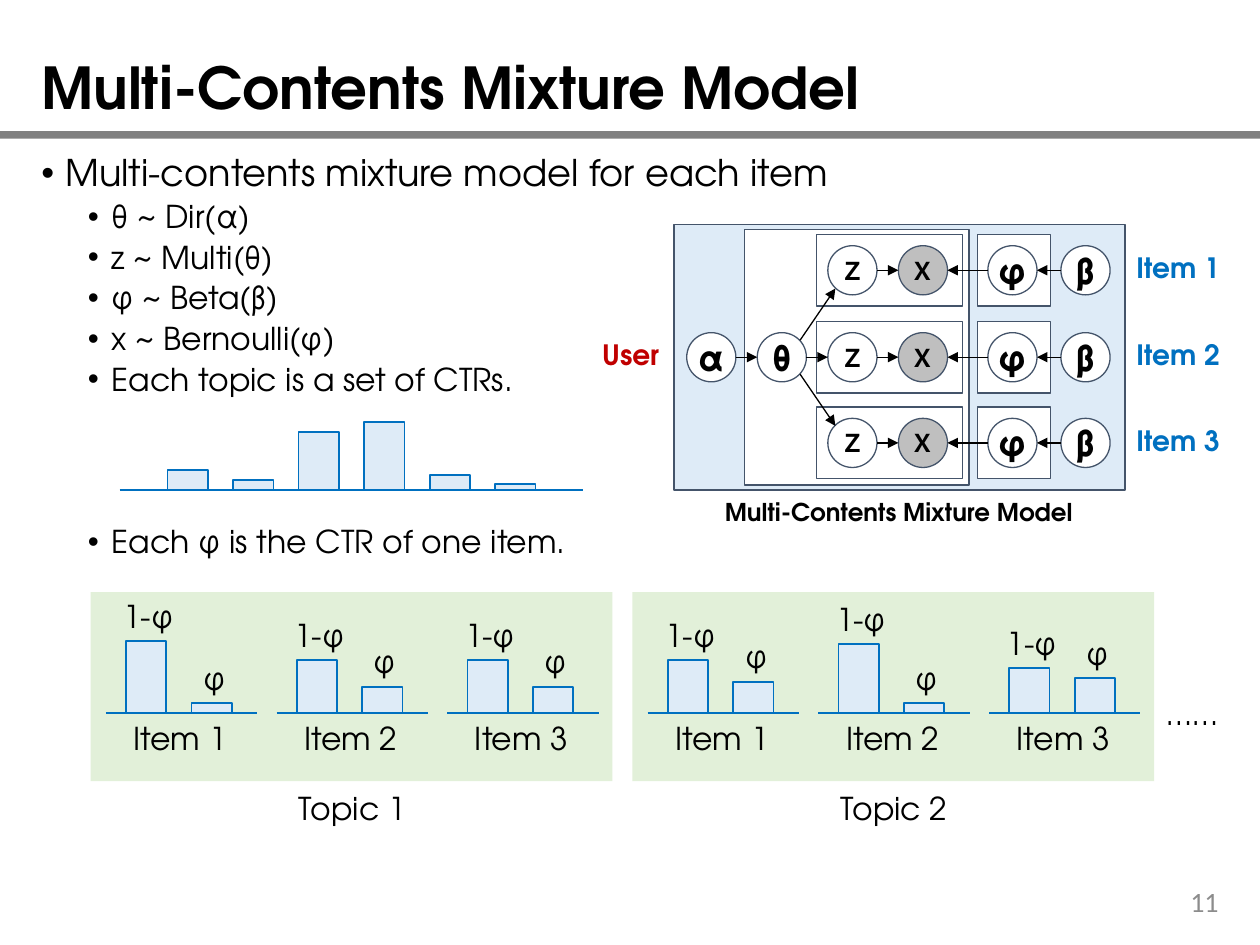
from pptx import Presentation
from pptx.dml.color import RGBColor
from pptx.enum.shapes import MSO_CONNECTOR as Line, MSO_SHAPE as Shape
from pptx.enum.text import MSO_ANCHOR as Anchor, PP_ALIGN as Align
from pptx.oxml.ns import qn
from pptx.util import Inches, Pt
from lxml.etree import SubElement

# Content
TITLE = "Multi-Contents Mixture Model"
HEADING = "Multi-contents mixture model for each item"
POINTS = ["θ ~ Dir(α)", "z ~ Multi(θ)", "φ ~ Beta(β)", "x ~ Bernoulli(φ)",
          "Each topic is a set of CTRs.", "Each φ is the CTR of one item."]
ITEMS = ["Item 1", "Item 2", "Item 3"]
CTR_HEIGHTS = [0.16, 0.08, 0.46, 0.54, 0.12, 0.05]
# Bar heights per item: (1-φ, φ)
TOPICS = {
    "Topic 1": [(0.57, 0.08), (0.42, 0.21), (0.42, 0.21)],
    "Topic 2": [(0.42, 0.25), (0.55, 0.08), (0.36, 0.28)],
}

# Style
FONT = "TeX Gyre Adventor"
COLORS = {"black": "000000", "rule": "808080", "panel": "E2F0D9", "pale": "DEEBF7",
          "white": "FFFFFF", "observed": "BFBFBF", "outline": "44546A",
          "blue": "0070C0", "red": "C00000", "number": "8C8C8C"}

# Geometry in inches
NODE = 0.39
ROW_TOPS = [1.95, 2.64, 3.32]
NODE_LEFT = {"α": 5.45, "θ": 6.01, "Ｚ": 6.57, "Ｘ": 7.13, "φ": 7.84, "β": 8.42}
BAR_WIDTH, BAR_STEP = 0.32, 0.52
CTR_BASE, ITEM_BASE = 3.89, 5.66
TOPIC_STEP, ITEM_STEP = 4.3, 1.355

deck = Presentation()
deck.slide_width, deck.slide_height = Inches(10), Inches(7.5)
slide = deck.slides.add_slide(deck.slide_layouts[5])


def color(name):
    return RGBColor.from_string(COLORS[name])


def write(paragraph, text, size, tint="black", bold=False, font=FONT):
    run = paragraph.add_run()
    run.text = text
    values = {"name": font, "size": Pt(size), "bold": bold}
    for key, value in values.items():
        setattr(run.font, key, value)
    run.font.color.rgb = color(tint)


def block(left, top, width, height, fill, line=None, weight=0.75, kind=Shape.RECTANGLE):
    shape = slide.shapes.add_shape(kind, *map(Inches, (left, top, width, height)))
    shape.shadow.inherit = False
    shape.fill.solid()
    shape.fill.fore_color.rgb = color(fill)
    if line:
        shape.line.color.rgb = color(line)
        shape.line.width = Pt(weight)
    else:
        shape.line.fill.background()
    return shape


def label(text, left, top, width, height=0.4, size=18, align=Align.CENTER,
          anchor=Anchor.TOP, spacing=None, **style):
    box = slide.shapes.add_textbox(*map(Inches, (left, top, width, height)))
    box.text_frame.word_wrap = False
    box.text_frame.vertical_anchor = anchor
    paragraph = box.text_frame.paragraphs[0]
    paragraph.alignment = align
    paragraph.line_spacing = spacing
    write(paragraph, text, size, **style)


def stroke(start, end, tint="black", weight=0.75, arrow=True):
    line = slide.shapes.add_connector(Line.STRAIGHT, *map(Inches, (*start, *end)))
    line.line.color.rgb = color(tint)
    line.line.width = Pt(weight)
    if arrow:
        SubElement(line.line._get_or_add_ln(), qn("a:tailEnd"), type="triangle")
    SubElement(line._element.spPr, qn("a:effectLst"))


def bar(left, base, height):
    block(left, base - height, BAR_WIDTH, height, "pale", "blue", 1)


def node(symbol, top):
    fill = "observed" if symbol == "Ｘ" else "white"
    circle = block(NODE_LEFT[symbol], top, NODE, NODE, fill, "outline", kind=Shape.OVAL)
    frame = circle.text_frame
    frame.word_wrap = False
    frame.vertical_anchor = Anchor.MIDDLE
    frame.paragraphs[0].alignment = Align.CENTER
    write(frame.paragraphs[0], symbol, 14 if symbol in "ＺＸ" else 20, bold=True)


def link(source, target, top):
    a, b, y = NODE_LEFT[source], NODE_LEFT[target], top + NODE / 2
    stroke((a + NODE, y), (b, y)) if a < b else stroke((a, y), (b + NODE, y))


# Title and rule
block(0, 1.04, 10, 0.06, "rule")
title = slide.shapes.title
for side, inches in {"left": 0.23, "top": 0.4, "width": 9.57, "height": 0.64}.items():
    setattr(title, side, Inches(inches))
title.text_frame.vertical_anchor = Anchor.MIDDLE
title_line = title.text_frame.paragraphs[0]
title_line.alignment, title_line.line_spacing = Align.LEFT, 0.9
write(title_line, TITLE, 33, bold=True)

# Bulleted text, with room for the CTR bars before the last point
body = slide.shapes.add_textbox(*map(Inches, (0.23, 1.18, 9.57, 5.57))).text_frame
body.word_wrap = True
for index, text in enumerate([HEADING, *POINTS]):
    paragraph = body.add_paragraph() if index else body.paragraphs[0]
    paragraph.level = 1 if index else 0
    paragraph.line_spacing = 0.9
    before = 73.4 if text == POINTS[-1] else 3.8 if index else 7.5
    paragraph.space_before = Pt(before)
    props = paragraph._p.get_or_add_pPr()
    props.set("marL", str(Inches(0.56 if index else 0.19)))
    props.set("indent", str(Inches(-0.19)))
    SubElement(props, qn("a:buFont"), typeface="Arial")
    SubElement(props, qn("a:buChar"), char="•")
    write(paragraph, text, 18 if index else 21)

# Plate diagram
block(5.35, 1.78, 3.58, 2.11, "pale", "outline")
block(5.91, 1.82, 1.78, 2.03, "white", "outline")
middle = ROW_TOPS[1]
for symbol in "αθ":
    node(symbol, middle)
for item, top in zip(ITEMS, ROW_TOPS):
    for left, width in ((6.48, 1.16), (7.76, 0.58)):
        block(left, top - 0.09, width, 0.57, "white", "outline")
    for symbol in "ＺＸφβ":
        node(symbol, top)
    for source, target in ("ＺＸ", "φＸ", "βφ"):
        link(source, target, top)
    label(item, 8.92, top + 0.02, 0.87, 0.34, 16, Align.LEFT, Anchor.MIDDLE, 0.9,
          tint="blue", bold=True)
link("α", "θ", middle)
link("θ", "Ｚ", middle)
for start_y, end_y in ((2.7, 2.29), (2.97, 3.38)):
    stroke((6.35, start_y), (6.63, end_y))
label("User", 4.61, 2.66, 0.72, 0.34, 16, Align.RIGHT, Anchor.MIDDLE, 0.9,
      tint="red", bold=True)
label(TITLE, 5.65, 3.89, 2.97, 0.34, 14, anchor=Anchor.MIDDLE, bold=True)

# CTR bars
stroke((0.95, CTR_BASE), (4.63, CTR_BASE), "blue", 1, arrow=False)
for index, height in enumerate(CTR_HEIGHTS):
    bar(1.33 + index * BAR_STEP, CTR_BASE, height)

# Topic panels
for t, (topic, groups) in enumerate(TOPICS.items()):
    panel_left = 0.72 + t * TOPIC_STEP
    block(panel_left, 4.7, 4.14, 1.5, "panel")
    label(topic, panel_left + 1.53, 6.21, 1.09)
    for i, (item, heights) in enumerate(zip(ITEMS, groups)):
        axis = panel_left + 0.12 + i * ITEM_STEP
        for b, (name, height, width) in enumerate(zip(("1-φ", "φ"), heights, (0.6, 0.37))):
            left = axis + 0.16 + b * BAR_STEP
            bar(left, ITEM_BASE, height)
            center = left + BAR_WIDTH / 2 + 0.02
            label(name, center - width / 2, ITEM_BASE - height - 0.4, width)
        stroke((axis, ITEM_BASE), (axis + 1.2, ITEM_BASE), "blue", 1, arrow=False)
        label(item, axis + 0.11, ITEM_BASE, 0.96)
label("……", 9.11, 5.46, 0.71)

# Page number
label("11", 7.52, 6.95, 2.25, 0.4, 16, Align.RIGHT, Anchor.MIDDLE,
      tint="number", font="Calibri")

deck.save("out.pptx")
